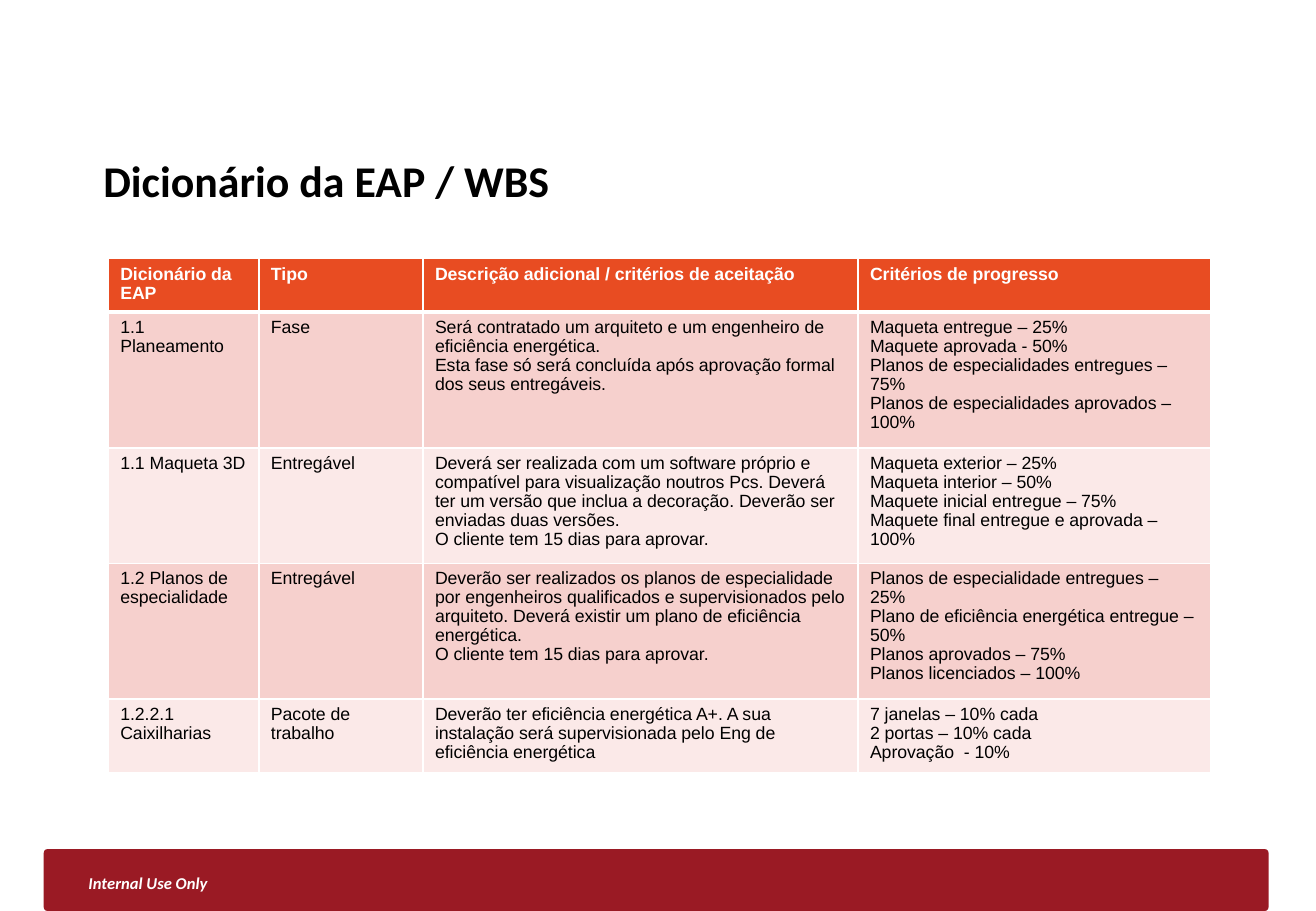
from lxml import etree
from pptx import Presentation
from pptx.dml.color import RGBColor
from pptx.enum.shapes import MSO_SHAPE
from pptx.enum.text import MSO_ANCHOR, MSO_AUTO_SIZE, PP_ALIGN
from pptx.oxml.ns import qn
from pptx.util import Inches, Pt

ROUNDED = MSO_SHAPE.ROUNDED_RECTANGLE
MIDDLE = MSO_ANCHOR.MIDDLE
LEFT = PP_ALIGN.LEFT
NO_AUTOFIT = MSO_AUTO_SIZE.NONE

WHITE = RGBColor(0xFF, 0xFF, 0xFF)
BLACK = RGBColor(0x00, 0x00, 0x00)
CRIMSON = RGBColor(0x9A, 0x1A, 0x24)
ORANGE = RGBColor(0xE8, 0x4C, 0x22)
ROSE = RGBColor(0xF6, 0xD0, 0xCD)
PALE_ROSE = RGBColor(0xFB, 0xE9, 0xE8)

TITLE = "Dicionário da EAP / WBS"
CLASSIFICATION = "Internal Use Only"
DICTIONARY = [
    ("Dicionário da EAP", "Tipo",
     "Descrição adicional / critérios de aceitação", "Critérios de progresso"),
    ("1.1 Planeamento", "Fase",
     "Será contratado um arquiteto e um engenheiro de eficiência energética.\n"
     "Esta fase só será concluída após aprovação formal dos seus entregáveis.",
     "Maqueta entregue – 25%\n"
     "Maquete aprovada - 50%\n"
     "Planos de especialidades entregues – 75%\n"
     "Planos de especialidades aprovados – 100%"),
    ("1.1 Maqueta 3D", "Entregável",
     "Deverá ser realizada com um software próprio e compatível para visualização "
     "noutros Pcs. Deverá ter um versão que inclua a decoração. Deverão ser "
     "enviadas duas versões.\n"
     "O cliente tem 15 dias para aprovar.",
     "Maqueta exterior – 25%\n"
     "Maqueta interior – 50%\n"
     "Maquete inicial entregue – 75%\n"
     "Maquete final entregue e aprovada – 100%"),
    ("1.2 Planos de especialidade", "Entregável",
     "Deverão ser realizados os planos de especialidade por engenheiros "
     "qualificados e supervisionados pelo arquiteto. Deverá existir um plano de "
     "eficiência energética.\n"
     "O cliente tem 15 dias para aprovar.",
     "Planos de especialidade entregues – 25%\n"
     "Plano de eficiência energética entregue – 50%\n"
     "Planos aprovados – 75%\n"
     "Planos licenciados – 100%"),
    ("1.2.2.1 Caixilharias", "Pacote de trabalho",
     "Deverão ter eficiência energética A+. A sua instalação será supervisionada "
     "pelo Eng de eficiência energética",
     "7 janelas – 10% cada\n"
     "2 portas – 10% cada\n"
     "Aprovação  - 10%"),
]
COLUMN_WIDTHS = (1.24, 1.35, 3.58, 2.9)
ROW_HEIGHTS = (0.42, 1.07, 0.91, 1.07, 0.58)


def write(frame, text, size, font="Arial", color=BLACK, bold=False, italic=False, spacing=1.0):
    """Fill a text frame with one formatted paragraph per line."""
    frame.text = text
    for paragraph in frame.paragraphs:
        paragraph.alignment = LEFT
        paragraph.line_spacing = spacing
        style = paragraph.runs[0].font
        style.name, style.size = font, Pt(size)
        style.bold, style.italic = bold, italic
        style.color.rgb = color


def add_borders(cell, bottom_width):
    """Draw white borders around a table cell."""
    properties = cell._tc.get_or_add_tcPr()
    for edge, width in (("L", 1), ("R", 1), ("T", 1), ("B", bottom_width)):
        line = etree.SubElement(properties, qn(f"a:ln{edge}"), w=str(Pt(width)))
        fill = etree.SubElement(line, qn("a:solidFill"))
        etree.SubElement(fill, qn("a:srgbClr"), val=str(WHITE))


def add_footer(slide):
    """Add the coloured footer bar with its classification."""
    bar = slide.shapes.add_shape(ROUNDED, Inches(0.36), Inches(6.99), Inches(10.08), Inches(0.51))
    bar.adjustments[0] = 0.062
    bar.shadow.inherit = False
    bar.fill.solid()
    bar.fill.fore_color.rgb = CRIMSON
    bar.line.fill.background()
    label = slide.shapes.add_textbox(Inches(0.63), Inches(7.14), Inches(1.36), Inches(0.27))
    label.text_frame.word_wrap = False
    write(label.text_frame, CLASSIFICATION, 9.8, font="Calibri", color=WHITE,
          bold=True, italic=True)


def add_title(slide):
    """Place and format the slide title."""
    title = slide.shapes.title
    title.left, title.top = Inches(0.75), Inches(1.17)
    title.width, title.height = Inches(9.33), Inches(0.63)
    frame = title.text_frame
    frame.auto_size = NO_AUTOFIT
    frame.vertical_anchor = MIDDLE
    frame.margin_left = frame.margin_right = Inches(0.1)
    frame.margin_top = frame.margin_bottom = Inches(0.1)
    write(frame, TITLE, 26, font="Calibri", bold=True)


def add_dictionary(slide):
    """Add the dictionary table with a header and alternating rows."""
    table = slide.shapes.add_table(
        len(DICTIONARY), len(COLUMN_WIDTHS), Inches(0.89), Inches(2.13),
        Inches(sum(COLUMN_WIDTHS)), Inches(sum(ROW_HEIGHTS))).table
    for column, width in zip(table.columns, COLUMN_WIDTHS):
        column.width = Inches(width)
    for index, (row, height, entry) in enumerate(zip(table.rows, ROW_HEIGHTS, DICTIONARY)):
        row.height = Inches(height)
        header = index == 0
        background = ORANGE if header else (PALE_ROSE, ROSE)[index % 2]
        for cell, text in zip(row.cells, entry):
            write(cell.text_frame, text, 10.5, color=WHITE if header else BLACK,
                  bold=header, spacing=0.97)
            add_borders(cell, bottom_width=3 if header else 1)
            cell.fill.solid()
            cell.fill.fore_color.rgb = background


def main():
    """Build and save the slide."""
    deck = Presentation()
    deck.slide_width, deck.slide_height = Inches(10.83), Inches(7.5)
    slide = deck.slides.add_slide(deck.slide_layouts[5])
    add_footer(slide)
    add_title(slide)
    add_dictionary(slide)
    deck.save("out.pptx")


if __name__ == "__main__":
    main()
